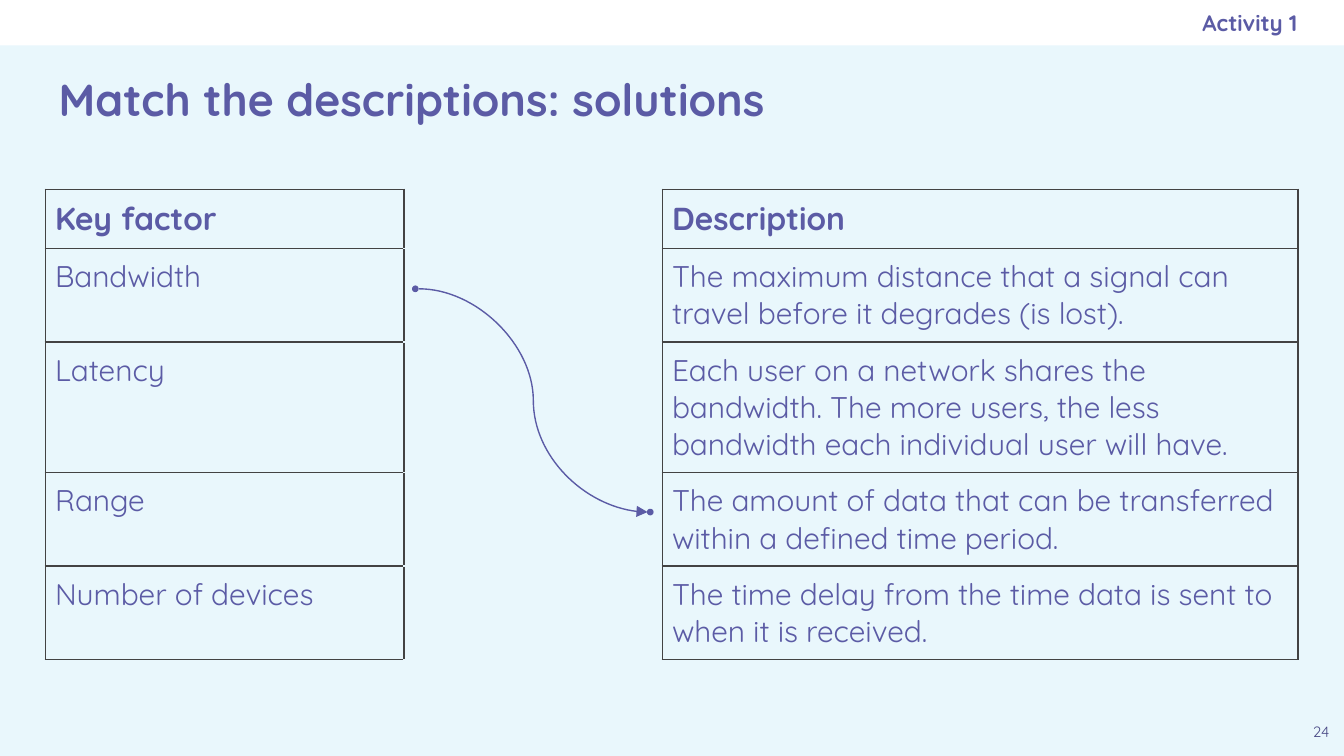
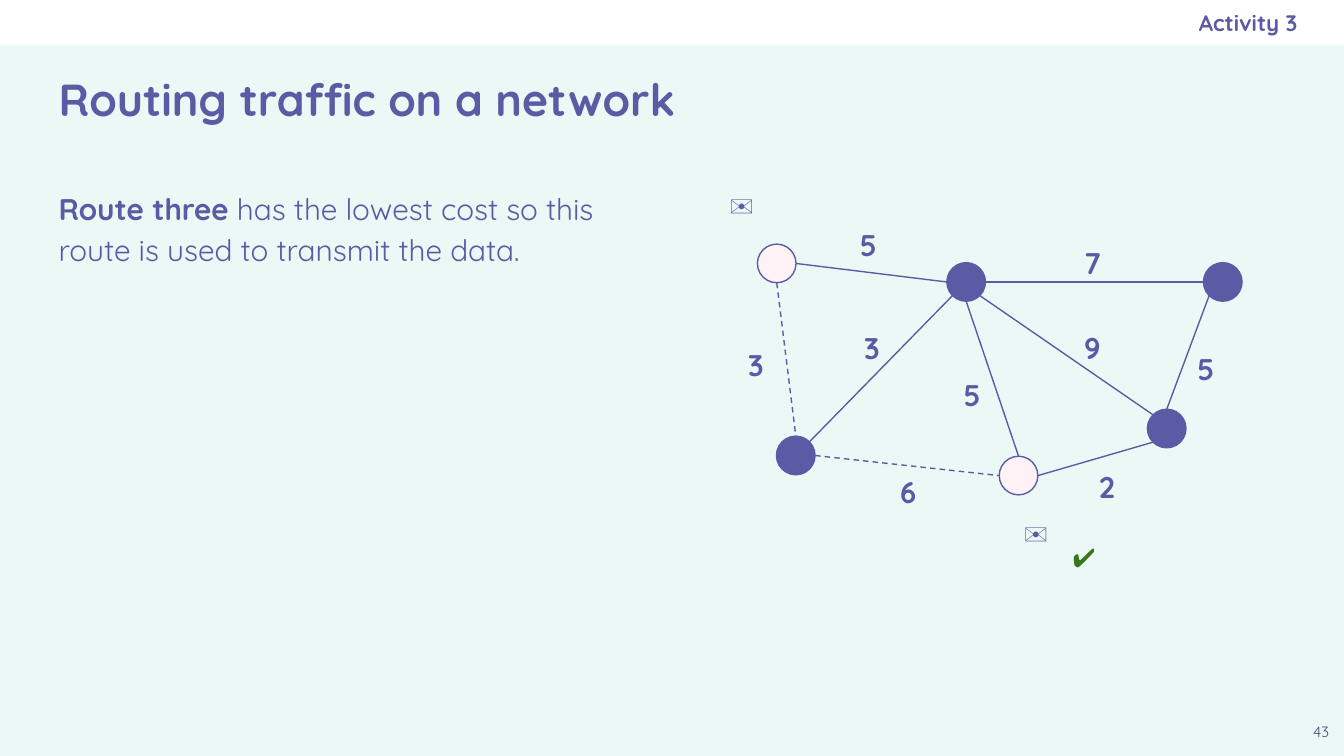
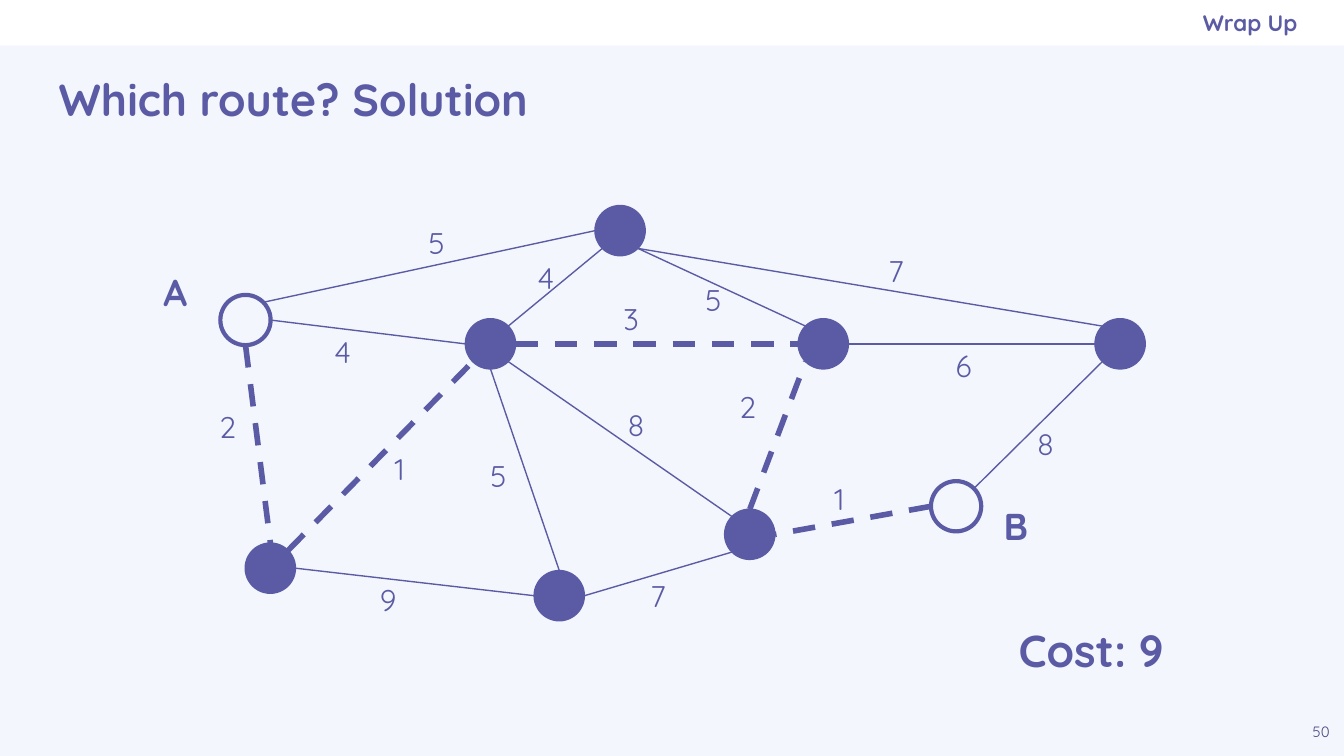
from math import cos, radians, sin

from lxml import etree
from pptx import Presentation
from pptx import util as u
from pptx.dml import color as col
from pptx.enum import dml, shapes, text
from pptx.oxml import ns

Cm, Pt = u.Cm, u.Pt
HUES = {
    "ink": "5B5BA5", "page": "494985", "white": "FFFFFF", "rose": "FEF2F6",
    "green": "38761D", "rule": "434343",
    "sky": "E9F7FC", "mint": "ECF8F5", "haze": "F3F6FC",
}
FONT = "Quicksand"
INSET = 0.25
SITES = {name: radians(45 * i) for i, name in
         enumerate(("e", "se", "s", "sw", "w", "nw", "n", "ne"))}


def rgb(hue):
    return col.RGBColor.from_string(HUES[hue])


def sub(parent, tag, **attrs):
    return etree.SubElement(parent, ns.qn(tag), attrs)


class Deck:
    def __init__(self):
        self.prs = Presentation()
        self.prs.slide_width, self.prs.slide_height = Cm(25.4), Cm(14.29)
        self.slide = None

    def start(self, title, tag, page, back):
        """Add a slide with its background, band, title, tag and page number."""
        self.slide = self.prs.slides.add_slide(self.prs.slide_layouts[5])
        fill = self.slide.background.fill
        fill.solid()
        fill.fore_color.rgb = rgb(back)
        self.shape("RECTANGLE", (0, 0, 25.4, 0.86), "white")
        head = self.slide.shapes.title
        box = {"left": 0.86, "top": 0.89, "width": 23.67, "height": 1.93}
        for key, val in box.items():
            setattr(head, key, Cm(val))
        self.typeset(head.text_frame, title, 24, bold=True, anchor="MIDDLE")
        self.label(tag, (14.61, 0, 9.91, 0.86), 12, bold=True, align="RIGHT",
                   anchor="MIDDLE", margin_right=0)
        self.label(page, (24.54, 13.41, 0.86, 0.86), 8, hue="page",
                   align="CENTER")

    def typeset(self, frame, words, size, bold=False, hue="ink", align="LEFT",
                anchor="TOP", grow=False, space=None, **insets):
        """Fill a frame with a string or a list of (string, bold) runs."""
        form = {f"margin_{side}": INSET
                for side in ("left", "top", "right", "bottom")}
        for key, val in {**form, **insets}.items():
            setattr(frame, key, Cm(val))
        frame.word_wrap = True
        fit = text.MSO_AUTO_SIZE
        frame.auto_size = fit.SHAPE_TO_FIT_TEXT if grow else fit.NONE
        frame.vertical_anchor = text.MSO_ANCHOR[anchor]
        para = frame.paragraphs[0]
        para.alignment = text.PP_ALIGN[align]
        if space:
            para.line_spacing = space
        for part, heavy in [(words, bold)] if isinstance(words, str) else words:
            self.add_run(para, part, size, heavy, hue)

    def add_run(self, para, words, size, bold, hue="ink"):
        run = para.add_run()
        run.text = words
        form = {"name": FONT, "size": Pt(size), "bold": bold}
        for key, val in form.items():
            setattr(run.font, key, val)
        run.font.color.rgb = rgb(hue)

    def label(self, words, box, size, **form):
        area = self.slide.shapes.add_textbox(*map(Cm, box))
        self.typeset(area.text_frame, words, size, **form)

    def shape(self, kind, box, fill=None, line=None, width=0.75):
        form = self.slide.shapes.add_shape(
            shapes.MSO_SHAPE[kind], *map(Cm, box))
        form.shadow.inherit = False
        for part, hue in ((form.fill, fill), (form.line.fill, line)):
            if hue:
                part.solid()
                part.fore_color.rgb = rgb(hue)
            else:
                part.background()
        if line:
            form.line.width = Pt(width)

    def dot(self, mid, size, fill="ink", width=0.75):
        x, y = mid
        self.shape("OVAL", (x - size / 2, y - size / 2, size, size),
                   fill, "ink", width)

    def link(self, tail, tip, width=0.75, dash=False, curve=False):
        """Draw a line; a curved one ends in an arrowhead."""
        kind = shapes.MSO_CONNECTOR
        line = self.slide.shapes.add_connector(
            kind.CURVE if curve else kind.STRAIGHT, *map(Cm, (*tail, *tip)))
        line.line.color.rgb = rgb("ink")
        line.line.width = Pt(width)
        if dash:
            line.line.dash_style = dml.MSO_LINE.DASH
        props = line._element.spPr
        if curve:
            sub(props.find(ns.qn("a:ln")), "a:tailEnd", type="triangle")
        sub(props, "a:effectLst")

    def graph(self, nodes, size, links, route, box, bold):
        """Draw nodes, then links between compass sites with their costs."""
        for mid, fill, width in nodes.values():
            self.dot(mid, size, fill, width)

        def edge(name, site):
            (x, y), turn = nodes[name][0], SITES[site]
            return x + size / 2 * cos(turn), y + size / 2 * sin(turn)

        for one, out, two, into, dash, cost, spot in links:
            self.link(edge(one, out), edge(two, into),
                      route if dash else 0.75, dash)
            self.label(cost, (*spot, *box), 16, bold=bold, grow=True)

    def table(self, spot, cols, rows, data, gap):
        """Draw a ruled table whose column number gap has no row rules."""
        frame = self.slide.shapes.add_table(
            len(rows), len(cols), *map(Cm, (*spot, sum(cols), sum(rows))))
        grid = frame.table
        grid.first_row = grid.horz_banding = False
        for part, wide in zip(grid.columns, cols):
            part.width = Cm(wide)
        for part, high in zip(grid.rows, rows):
            part.height = Cm(high)
        for r, line in enumerate(data):
            for c, words in enumerate(line):
                cell = grid.cell(r, c)
                for side in ("left", "top", "right", "bottom"):
                    setattr(cell, f"margin_{side}", Cm(0.18))
                self.add_run(cell.text_frame.paragraphs[0], words,
                             16 if r else 17, r == 0)
                self.rules(cell, "sky" if c == gap else "rule")
                cell.fill.background()

    def rules(self, cell, flat):
        props = cell._tc.get_or_add_tcPr()
        for side, hue in zip("LRTB", ("rule", "rule", flat, flat)):
            line = sub(props, f"a:ln{side}", w=str(Pt(1)))
            sub(sub(line, "a:solidFill"), "a:srgbClr", val=HUES[hue])


def match(deck):
    deck.start("Match the descriptions: solutions", "Activity 1", "24", "sky")
    pairs = [
        ("Key factor", "Description"),
        ("Bandwidth", "The maximum distance that a signal can travel before "
         "it degrades (is lost)."),
        ("Latency", "Each user on a network shares the bandwidth. The more "
         "users, the less bandwidth each individual user will have."),
        ("Range", "The amount of data that can be transferred within a "
         "defined time period."),
        ("Number of devices", "The time delay from the time data is sent to "
         "when it is received."),
    ]
    deck.table((0.86, 3.58), (6.78, 4.88, 12.01),
               (1.07, 1.63, 2.24, 1.63, 1.63),
               [(key, "", about) for key, about in pairs], gap=1)
    for mid in ((7.85, 5.46), (12.29, 9.68)):
        deck.dot(mid, 0.1)
    deck.link((7.92, 5.46), (12.24, 9.68), curve=True)


def traffic(deck):
    deck.start("Routing traffic on a network", "Activity 3", "43", "mint")
    deck.label([("Route three", True),
                (" has the lowest cost so this route is used to transmit "
                 "the data.", False)],
               (0.86, 3.25, 11.38, 10.16), 16, space=1.15)
    nodes = {
        "start": ((14.68, 4.98), "rose", 0.75),
        "hub": ((18.26, 5.33), "ink", 0.75),
        "east": ((23.11, 5.33), "ink", 0.75),
        "west": ((15.04, 8.61), "ink", 0.75),
        "goal": ((19.25, 8.99), "rose", 0.75),
        "low": ((22.05, 8.1), "ink", 0.75),
    }
    links = [
        ("start", "e", "hub", "w", False, "5", (16, 4.04)),
        ("start", "s", "west", "n", True, "3", (13.89, 6.3)),
        ("west", "ne", "hub", "sw", False, "3", (16.08, 5.99)),
        ("west", "e", "goal", "w", True, "6", (16.76, 8.71)),
        ("hub", "e", "east", "w", False, "7", (20.24, 4.37)),
        ("hub", "s", "goal", "n", False, "5", (17.96, 6.88)),
        ("hub", "se", "low", "nw", False, "9", (20.24, 5.99)),
        ("low", "n", "east", "sw", False, "5", (22.38, 6.38)),
        ("goal", "e", "low", "sw", False, "2", (20.52, 8.61)),
    ]
    deck.graph(nodes, 0.73, links, 0.75, (1.14, 1.19), bold=True)
    for spot in ((13.54, 3.25), (19.1, 9.45)):
        deck.label("✉", (*spot, 1.19, 1.27), 18, grow=True)
    deck.label("✔", (20.02, 9.98, 1.09, 1.12), 14, hue="green", grow=True)


def wrap(deck):
    deck.start("Which route? Solution", "Wrap Up", "50", "haze")
    nodes = {
        "A": ((4.64, 6.05), None, 2.25),
        "B": ((18.07, 9.57), None, 2.25),
        "top": ((11.72, 4.36), "ink", 0.75),
        "mid": ((9.27, 6.5), "ink", 0.75),
        "right": ((15.56, 6.5), "ink", 0.75),
        "far": ((21.17, 6.5), "ink", 0.75),
        "low": ((5.11, 10.74), "ink", 0.75),
        "base": ((10.57, 11.26), "ink", 0.75),
        "fork": ((14.17, 10.1), "ink", 0.75),
    }
    links = [
        ("A", "s", "low", "n", True, "2", (3.89, 7.47)),
        ("low", "ne", "mid", "sw", True, "1", (7.21, 8.26)),
        ("mid", "e", "right", "w", True, "3", (11.53, 5.44)),
        ("fork", "n", "right", "sw", True, "2", (13.72, 7.09)),
        ("B", "w", "fork", "e", True, "1", (15.52, 8.84)),
        ("A", "ne", "top", "w", False, "5", (7.85, 3.99)),
        ("A", "e", "mid", "w", False, "4", (6.07, 6.05)),
        ("mid", "ne", "top", "sw", False, "4", (9.91, 4.65)),
        ("mid", "s", "base", "n", False, "5", (9.02, 8.41)),
        ("mid", "se", "fork", "nw", False, "8", (11.61, 7.44)),
        ("low", "e", "base", "w", False, "9", (6.93, 10.74)),
        ("base", "e", "fork", "sw", False, "7", (12.04, 10.67)),
        ("top", "se", "right", "nw", False, "5", (13.08, 5.08)),
        ("top", "se", "far", "nw", False, "7", (16.54, 4.52)),
        ("right", "e", "far", "w", False, "6", (17.81, 6.32)),
        ("far", "sw", "B", "ne", False, "8", (19.35, 7.8)),
    ]
    deck.graph(nodes, 0.95, links, 3, (1.78, 1.19), bold=False)
    for name, spot in (("A", (2.84, 4.83)), ("B", (18.72, 9.27))):
        deck.label(name, (*spot, 1.78, 1.37), 20, bold=True, grow=True)
    deck.label("Cost: 9", (19, 11.53, 3.71, 1.55), 24, bold=True, grow=True)


def main():
    deck = Deck()
    for build in (match, traffic, wrap):
        build(deck)
    deck.prs.save("out.pptx")


if __name__ == "__main__":
    main()
